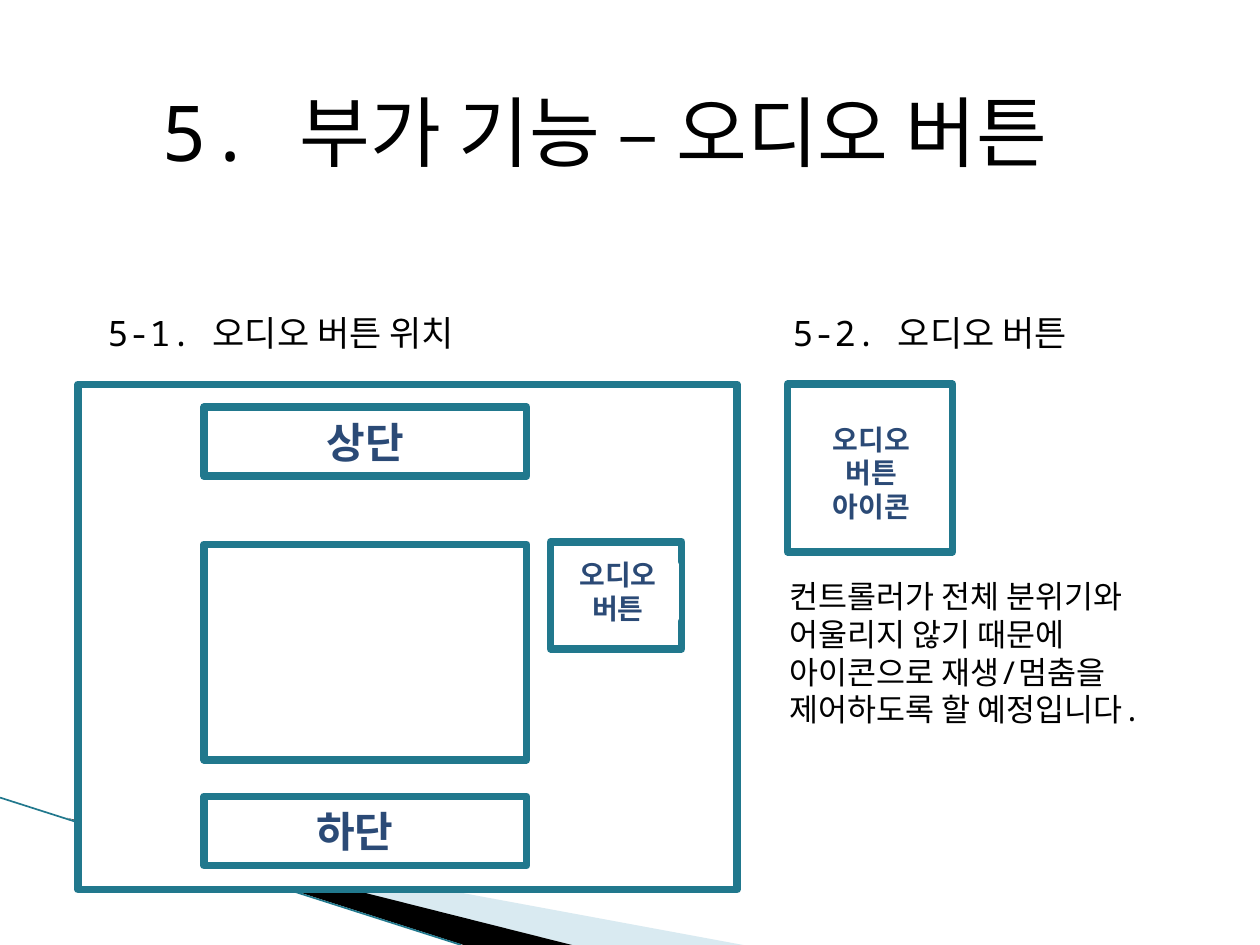
from lxml import etree
from pptx import Presentation
from pptx.dml.color import RGBColor
from pptx.enum.shapes import MSO_CONNECTOR, MSO_SHAPE
from pptx.enum.text import MSO_ANCHOR, MSO_AUTO_SIZE, PP_ALIGN
from pptx.oxml.ns import qn
from pptx.util import Inches, Pt

RECTANGLE = MSO_SHAPE.RECTANGLE
STRAIGHT = MSO_CONNECTOR.STRAIGHT
TOP, MIDDLE = MSO_ANCHOR.TOP, MSO_ANCHOR.MIDDLE
LEFT, CENTER = PP_ALIGN.LEFT, PP_ALIGN.CENTER
NO_AUTOFIT = MSO_AUTO_SIZE.NONE

WHITE = RGBColor(0xFF, 0xFF, 0xFF)
BLACK = RGBColor(0x00, 0x00, 0x00)
TEAL = RGBColor(0x21, 0x78, 0x8D)
NAVY = RGBColor(0x2B, 0x4A, 0x76)
PALE_BLUE = RGBColor(0xA0, 0xCB, 0xDC)

LABEL_FONT = "Arial"
TEXT_FONT = "Noto Sans Mono"


def write_text(text_frame, lines, size, font=TEXT_FONT, color=BLACK,
               bold=False, align=CENTER, anchor=TOP):
    text_frame.word_wrap = True
    text_frame.auto_size = NO_AUTOFIT
    text_frame.vertical_anchor = anchor
    for index, line in enumerate(lines):
        paragraph = text_frame.paragraphs[0] if index == 0 else text_frame.add_paragraph()
        paragraph.alignment = align
        run = paragraph.add_run()
        run.text = line
        run.font.name = font
        run.font.size = Pt(size)
        run.font.bold = bold
        run.font.color.rgb = color


def add_text(slide, box, lines, size, align=CENTER):
    text_box = slide.shapes.add_textbox(*map(Inches, box))
    write_text(text_box.text_frame, lines, size, align=align)


def add_panel(slide, box, line_color=TEAL, lines=(), size=24):
    panel = slide.shapes.add_shape(RECTANGLE, *map(Inches, box))
    panel.shadow.inherit = False
    panel.fill.solid()
    panel.fill.fore_color.rgb = WHITE
    panel.line.color.rgb = line_color
    panel.line.width = Pt(4.33)
    write_text(panel.text_frame, lines, size, LABEL_FONT, NAVY, True, anchor=MIDDLE)


def add_wedge(slide, points, color, opacity=100):
    start, *others = [(Inches(x), Inches(y)) for x, y in points]
    builder = slide.shapes.build_freeform(*start)
    builder.add_line_segments(others)
    wedge = builder.convert_to_shape()
    wedge.shadow.inherit = False
    wedge.fill.solid()
    wedge.fill.fore_color.rgb = color
    wedge.line.fill.background()
    if opacity < 100:
        color_element = wedge._element.spPr.find(qn("a:solidFill"))[0]
        etree.SubElement(color_element, qn("a:alpha"), val=str(opacity * 1000))


def add_corner_decoration(slide, left, top, bottom):
    """Sloping wedges and a thin line that run down to the slide's bottom edge."""
    add_wedge(slide, [(left + 0.55, top + 0.18), (5.9, bottom), (4.54, bottom)],
              PALE_BLUE, opacity=40)
    add_wedge(slide, [(left + 0.53, top + 0.16), (4.54, bottom), (3.68, bottom)], BLACK)
    edge = slide.shapes.add_connector(
        STRAIGHT, Inches(left), Inches(top), Inches(3.66), Inches(bottom))
    edge.line.color.rgb = TEAL
    edge.line.width = Pt(0.95)
    etree.SubElement(edge._element.spPr, qn("a:effectLst"))


def add_title(slide, box):
    title = slide.shapes.title
    title.left, title.top, title.width, title.height = map(Inches, box)
    write_text(title.text_frame, ["5. 부가 기능 – 오디오 버튼"], 44)


def add_page_layout(slide, left, top, width, height):
    """Wireframe of the page with the place of the audio button."""
    add_panel(slide, (left, top, width, height))
    column, column_width, bar_height = left + 1, 2.56, 0.55

    # Header, content and footer
    add_panel(slide, (column, top + 0.18, column_width, bar_height), lines=["상단"])
    add_panel(slide, (column, top + 1.27, column_width, 1.71))
    add_panel(slide, (column, top + 3.27, column_width, bar_height))
    add_panel(slide, (column + 0.25, top + 3.33, 1.89, 0.43), WHITE, ["하단"])

    # Audio button
    add_panel(slide, (left + 3.75, top + 1.25, 1.04, 0.85))
    add_panel(slide, (left + 3.83, top + 1.43, 0.91, 0.43), WHITE, ["오디오 버튼"], 16)


def add_audio_button(slide, left, top, width, height):
    """Enlarged button icon with the explanation below it."""
    add_panel(slide, (left, top, width, height))
    add_panel(slide, (left + 0.08, top + 0.31, 1.17, 0.78), WHITE,
              ["오디오", "버튼", "아이콘"], 16)
    add_text(slide, (left - 0.08, top + height + 0.15, 3.44, 1.64),
             ["컨트롤러가 전체 분위기와 어울리지 않기 때문에",
              "아이콘으로 재생/멈춤을 제어하도록 할 예정입니다."], 18, LEFT)


def main():
    presentation = Presentation()
    presentation.slide_width = Inches(10)
    presentation.slide_height = Inches(7.5)
    slide = presentation.slides.add_slide(presentation.slide_layouts[5])

    add_corner_decoration(slide, 0, 6.33, 7.5)
    add_title(slide, (0.55, 0.62, 8.5, 0.94))
    add_text(slide, (0.55, 2.42, 3.36, 0.55), ["5-1. 오디오 버튼 위치"], 20)
    add_page_layout(slide, 0.62, 3.05, 5.23, 4.01)
    add_text(slide, (5.7, 2.42, 3.36, 0.47), ["5-2. 오디오 버튼"], 20)
    add_audio_button(slide, 6.25, 3.05, 1.31, 1.33)

    presentation.save("out.pptx")


if __name__ == "__main__":
    main()
